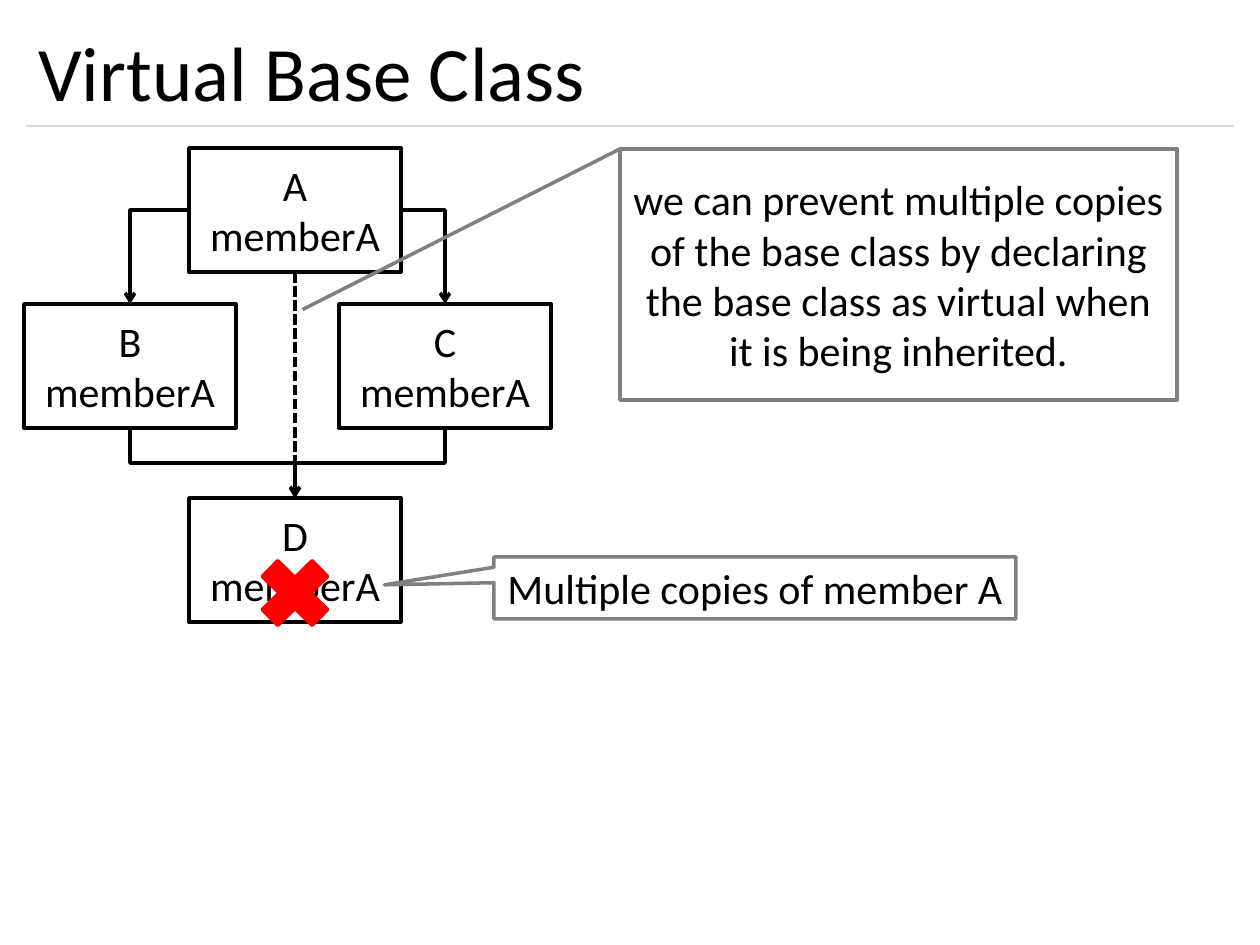
from lxml import etree
from pptx import Presentation
from pptx.dml.color import RGBColor
from pptx.enum.dml import MSO_LINE
from pptx.enum.shapes import MSO_CONNECTOR, MSO_SHAPE
from pptx.enum.text import MSO_ANCHOR, PP_ALIGN
from pptx.oxml.ns import qn
from pptx.util import Emu, Pt

RECT = MSO_SHAPE.RECTANGLE
CROSS = MSO_SHAPE.MATH_MULTIPLY
WEDGE = MSO_SHAPE.RECTANGULAR_CALLOUT
NOTE = MSO_SHAPE.LINE_CALLOUT_1
STRAIGHT, ELBOW = MSO_CONNECTOR.STRAIGHT, MSO_CONNECTOR.ELBOW
LEFT, CENTER = PP_ALIGN.LEFT, PP_ALIGN.CENTER
MIDDLE = MSO_ANCHOR.MIDDLE
DASH = MSO_LINE.SQUARE_DOT

COLORS = {"ink": "000000", "paper": "FFFFFF", "rule": "D9D9D9",
          "gray": "808080", "red": "FF0000"}
FONT = "Calibri"
SCALE = 914400 / 126


def px(n):
    return Emu(round(n * SCALE))


def color(name):
    return RGBColor.from_string(COLORS[name])


def write(shape, text, size=24, ink="ink", align=CENTER):
    frame = shape.text_frame
    frame.word_wrap = True
    frame.vertical_anchor = MIDDLE
    frame.text = text
    for para in frame.paragraphs:
        para.alignment = align
        para.font.name = FONT
        para.font.size = Pt(size)
        para.font.color.rgb = color(ink)


class Board:
    def __init__(self, slide, width=2):
        self.slide = slide
        self.shapes = slide.shapes
        self.width = width

    def title(self, text, x, y, w, h):
        box = self.shapes.add_textbox(px(x), px(y), px(w), px(h))
        write(box, text, size=44, align=LEFT)

    def shape(self, kind, x, y, w, h, text="", fill=None, line="ink", adjust=()):
        item = self.shapes.add_shape(kind, px(x), px(y), px(w), px(h))
        item.shadow.inherit = False
        if fill:
            item.fill.solid()
            item.fill.fore_color.rgb = color(fill)
        else:
            item.fill.background()
        item.line.color.rgb = color(line)
        item.line.width = Pt(self.width)
        for i, value in enumerate(adjust):
            item.adjustments[i] = value
        if text:
            write(item, text)
        return item

    def line(self, x1, y1, x2, y2, kind=STRAIGHT, ink="ink", width=None,
             arrow=False):
        link = self.shapes.add_connector(kind, px(x1), px(y1), px(x2), px(y2))
        link.line.color.rgb = color(ink)
        link.line.width = Pt(width or self.width)
        if arrow:
            end = etree.SubElement(link.line._get_or_add_ln(), qn("a:tailEnd"))
            end.set("type", "arrow")
        etree.SubElement(link._element.spPr, qn("a:effectLst"))
        return link

    def corner(self, x1, y1, x2, y2):
        # Goes sideways, then down
        link = self.line(x1, y1, x2, y2, kind=ELBOW, arrow=True)
        link._element.spPr.find(qn("a:prstGeom")).set("prst", "bentConnector2")

    def step(self, x1, y1, x2, y2):
        # Goes down, sideways, down: an elbow turned a quarter about its centre
        mx, my = (x1 + x2) / 2, (y1 + y2) / 2
        dx, dy = (x2 - x1) / 2, (y2 - y1) / 2
        link = self.line(mx - dy, my + dx, mx + dy, my - dx, kind=ELBOW, arrow=True)
        link._element.spPr.find(qn("a:xfrm")).set("rot", str(90 * 60000))


def main():
    prs = Presentation()
    prs.slide_width, prs.slide_height = px(1260), px(945)
    board = Board(prs.slides.add_slide(prs.slide_layouts[6]))

    # Heading
    board.line(26, 126, 1234, 126, ink="rule", width=0.75)
    board.title("Virtual Base Class", 26, 15, 1207, 111)

    # Class boxes
    w, h = 212, 124
    spots = {"A": (189, 148), "B": (24, 304), "C": (339, 304), "D": (189, 498)}
    boxes = {name: board.shape(RECT, x, y, w, h, f"{name}\nmemberA", fill="paper")
             for name, (x, y) in spots.items()}

    # Inheritance arrows
    ax, ay = spots["A"]
    dx, dy = spots["D"]
    for name, side in (("B", ax), ("C", ax + w)):
        x, y = spots[name]
        board.corner(side, ay + h // 2, x + w // 2, y)
    for name in "BC":
        x, y = spots[name]
        board.step(x + w // 2, y + h, dx + w // 2, dy)

    # Cross and callout on the repeated member
    board.shape(CROSS, 247, 546, 96, 94, fill="red", line="red")
    board.shape(WEDGE, 494, 557, 522, 62, "Multiple copies of member A",
                line="gray", adjust=(-0.71, -0.05))

    # Virtual link and its note
    link = board.line(ax + w // 2, ay + h, ax + w // 2, 463)
    link.line.dash_style = DASH
    link.begin_connect(boxes["A"], 2)
    board.shape(NOTE, 620, 149, 557, 251,
                "we can prevent multiple copies of the base class by declaring "
                "the base class as virtual when it is being inherited.",
                line="gray", adjust=(0, 0, 0.64, -0.57))

    prs.save("out.pptx")


if __name__ == "__main__":
    main()
